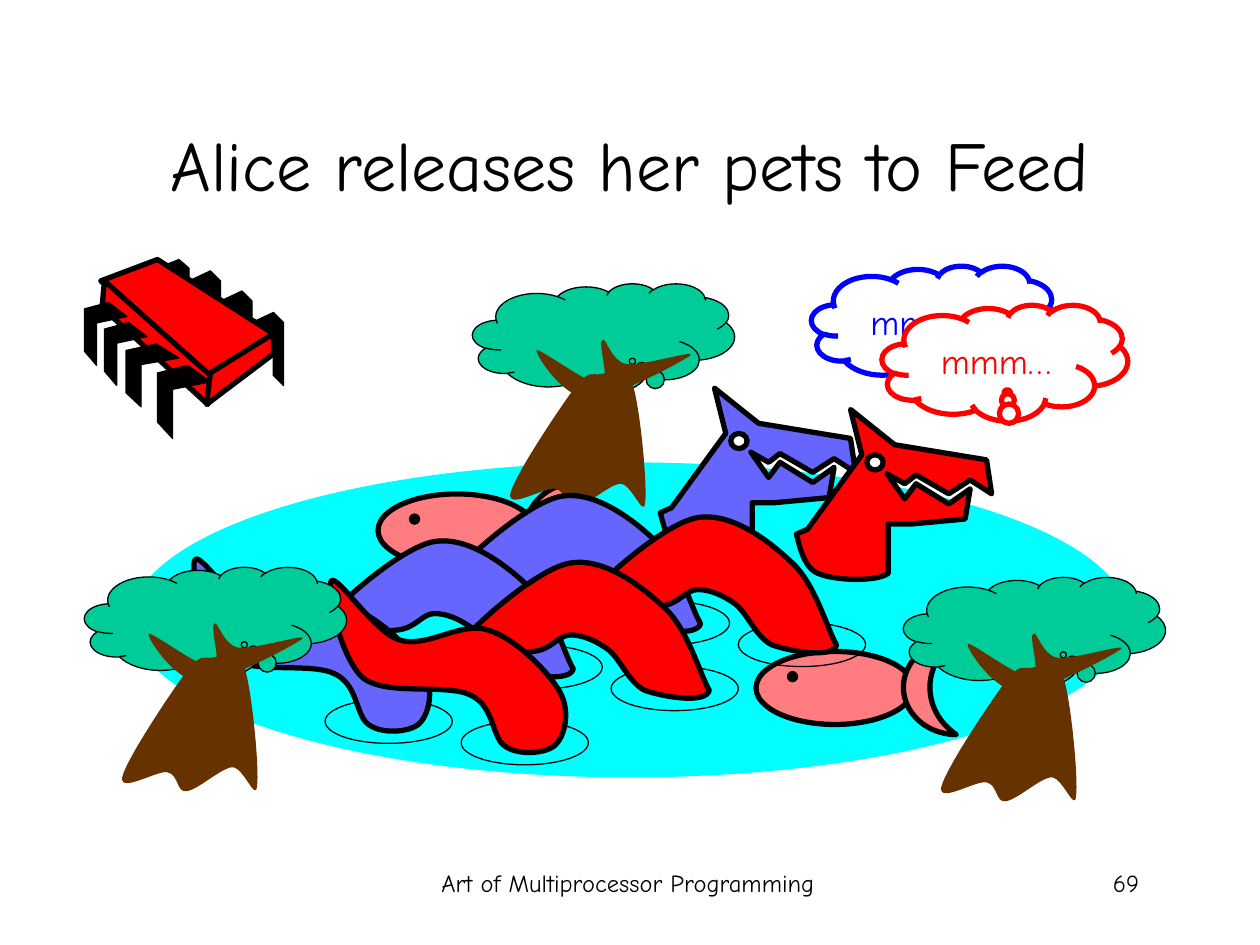
from lxml import etree
from pptx import Presentation, util as u
from pptx.dml.color import RGBColor
from pptx.enum import shapes, text
from pptx.oxml.ns import qn

BLACK = RGBColor(0, 0, 0)
WHITE = RGBColor(255, 255, 255)
RED = RGBColor(255, 0, 0)
BLUE = RGBColor(0, 0, 255)
VIOLET = RGBColor(0x66, 0x66, 0xFF)
CYAN = RGBColor(0, 255, 255)
PINK = RGBColor(0xFF, 0x7C, 0x80)
LEAF = RGBColor(0, 0xCC, 0x99)
BARK = RGBColor(0x66, 0x33, 0)

OVAL = shapes.MSO_SHAPE.OVAL
MOON = shapes.MSO_SHAPE.MOON
CLOUD = shapes.MSO_SHAPE.CLOUD_CALLOUT

# Outlines: a start point, then steps of 2 numbers (line) or 6 numbers (curve).
BACK_LEG = [(0, .08), (.17, 0), (.25, .08), (.25, .58), (.17, .5), (.17, .17),
            (0, .25), (0, .08)]
FRONT_LEG = [(.24, 0), (.42, .13), (.12, .19), (.12, .58), (0, .45), (0, .06),
             (.24, 0)]
CHIP_FACES = [
    [(1.25, 2.06), (2.17, 2.65), (1.65, 2.99), (.8, 2.23), (1.25, 2.06)],
    [(.83, 2.23), (1.67, 2.98), (1.65, 3.21), (.81, 2.44), (.83, 2.23)],
    [(2.17, 2.65), (2.17, 2.81), (1.64, 3.21), (1.67, 2.96), (2.17, 2.65)],
]
TRUNK = [(.81, .83), (.93, .68, .94, .73, 1.02, .72), (1.09, .71, 1.21, .63, 1.27, .8),
         (1.33, .97, 1.39, 1.61, 1.37, 1.74), (1.36, 1.87, 1.26, 1.58, 1.17, 1.59),
         (1.08, 1.6, .9, 1.77, .81, 1.78), (.73, 1.79, .75, 1.65, .66, 1.63),
         (.58, 1.61, .28, 1.8, .3, 1.67), (.33, 1.53, .69, .99, .81, .83)]
BRANCHES = [(.51, .53), (.49, .55, .71, .9, .91, .91), (1.12, .92, 1.68, .61, 1.73, .57),
            (1.78, .52, 1.34, .66, 1.22, .64), (1.1, .62, 1.06, .42, 1.03, .45),
            (.99, .47, 1.1, .78, 1.02, .8), (.93, .81, .53, .51, .51, .53)]
HUMP = [(2.03, 1.06), (2, 1.17, 1.66, 1.11, 1.52, 1.06), (1.39, 1, 1.32, .8, 1.22, .73),
        (1.12, .66, 1.02, .62, .93, .62), (.83, .62, .79, .73, .64, .75),
        (.49, .76, 0, .83, .05, .71), (.09, .6, .65, .1, .92, .05),
        (1.19, 0, 1.49, .23, 1.67, .4), (1.86, .57, 1.95, .92, 2.03, 1.06)]
HEAD = [(.09, .95), (.52, .36), (.43, 0), (.78, .28), (1.51, .4), (1.55, .67),
        (1.38, .56), (1.21, .67), (.95, .52), (.86, .59), (.72, .51), (.86, .71),
        (.95, .59), (1.21, .75), (1.38, .63), (1.34, .87), (.91, .91), (.73, .91),
        (.73, 1.3), (.64, 1.37, .3, 1.36, .17, 1.3), (.05, 1.25, .02, 1.05, 0, .99),
        (.09, .95)]
TAIL = [(.05, .05), (.1, 0, .39, .46, .59, .52), (.8, .59, 1.08, .37, 1.29, .44),
        (1.5, .5, 1.76, .76, 1.85, .91), (1.95, 1.06, 1.91, 1.26, 1.84, 1.34),
        (1.78, 1.42, 1.55, 1.44, 1.44, 1.37), (1.32, 1.31, 1.35, 1.05, 1.16, .96),
        (.97, .86, .49, .97, .3, .82), (.12, .66, 0, .1, .05, .05)]


def grid(value):
    """Turn grid units of 2.54 cm into a length."""
    return u.Cm(2.54 * value)


class Scene:
    font = "Comic Neue"

    def __init__(self, slide):
        self.slide = slide
        self.layer = slide.shapes

    def open_group(self):
        self.layer = self.slide.shapes.add_group_shape().shapes

    def close_group(self):
        self.layer = self.slide.shapes

    def paint(self, shape, fill, line, width):
        shape.shadow.inherit = False
        for part, color in ((shape.fill, fill), (shape.line.fill, line)):
            if color is None:
                part.background()
            else:
                part.solid()
                part.fore_color.rgb = color
        if line is not None:
            shape.line.width = u.Pt(width)

    def wording(self, frame, words, size, color=BLACK, align=text.PP_ALIGN.CENTER):
        frame.word_wrap = True
        frame.margin_left = frame.margin_right = u.Cm(.25)
        frame.margin_top = frame.margin_bottom = u.Cm(.13)
        paragraph = frame.paragraphs[0]
        paragraph.alignment = align
        run = paragraph.add_run()
        run.text = words
        run.font.name = self.font
        run.font.size = u.Pt(size)
        run.font.color.rgb = color

    def title(self, words, box):
        title = self.slide.shapes.title
        title.left, title.top, title.width, title.height = map(grid, box)
        title.text_frame.vertical_anchor = text.MSO_ANCHOR.MIDDLE
        self.wording(title.text_frame, words, 40)

    def label(self, words, box, align):
        label = self.layer.add_textbox(*map(grid, box))
        self.wording(label.text_frame, words, 14, align=align)

    def preset(self, kind, box, fill=None, line=None, width=.75, adjust=()):
        shape = self.layer.add_shape(kind, *map(grid, box))
        for index, value in enumerate(adjust):
            shape.adjustments[index] = value
        self.paint(shape, fill, line, width)
        return shape

    def outline(self, steps, fill, line=None, width=3, at=(0, 0), scale=(1, 1)):
        points = [tuple(grid(at[axis] + scale[axis] * step[i + axis]) for axis in (0, 1))
                  for step in steps for i in range(0, len(step), 2)]
        builder = self.layer.build_freeform(*points[0])
        builder.add_line_segments(points[1:], close=True)
        shape = builder.convert_to_shape()
        self.bend(shape, steps)
        self.paint(shape, fill, line, width)

    def bend(self, shape, steps):
        """Join the three lines of each 6-number step into one Bézier curve."""
        lines = iter(shape._element.findall(".//" + qn("a:lnTo")))
        for step in steps[1:]:
            first = next(lines)
            if len(step) == 6:
                curve = etree.Element(qn("a:cubicBezTo"))
                first.addprevious(curve)
                for line in (first, next(lines), next(lines)):
                    curve.append(line[0])
                    line.getparent().remove(line)

    def thought(self, x, y, color):
        cloud = self.preset(CLOUD, (x, y, 1.95, .92), WHITE, color, 3, (.01, .26))
        cloud.text_frame.vertical_anchor = text.MSO_ANCHOR.MIDDLE
        self.wording(cloud.text_frame, "mmm…", 20, color)

    def fish(self, x, y):
        self.open_group()
        self.preset(OVAL, (x, y + .09, 1.25, .58), PINK, BLACK, 3)
        self.preset(MOON, (x + 1.17, y, .42, .75), PINK, BLACK, 3, (.5,))
        self.preset(OVAL, (x + .25, y + .25, .08, .08), BLACK, BLACK)
        self.close_group()

    def chip(self):
        self.open_group()
        for x, y, sy in ((2, 2.48, 1), (1.75, 2.31, 1), (1.5, 2.15, 1), (1.25, 2.06, .86)):
            self.outline(BACK_LEG, BLACK, BLACK, .75, (x, y), (1, sy))
        for face in CHIP_FACES:
            self.outline(face, RED, BLACK)
        for x, y, sx, sy in ((1.25, 2.9, 1, 1), (1, 2.73, 1, .86),
                             (.83, 2.56, .8, .86), (.67, 2.4, .8, .86)):
            self.outline(FRONT_LEG, BLACK, BLACK, .75, (x, y), (sx, sy))
        self.close_group()

    def tree(self, x, y):
        self.open_group()
        self.preset(CLOUD, (x, y, 2.08, .87), LEAF, BLACK, adjust=(.11, .21))
        for wood in (TRUNK, BRANCHES):
            self.outline(wood, BARK, at=(x, y))
        self.close_group()

    def dragon(self, x, y, color):
        for dx, dy in ((2.27, 2.04), (1.08, 2.47), (3.28, 1.69)):
            self.preset(OVAL, (x + dx, y + dy, 1.01, .35), line=BLACK)
        for part, dx, dy in ((HUMP, 2.03, .81), (HUMP, 1.02, 1.17), (HEAD, 3.74, 0)):
            self.outline(part, color, BLACK, at=(x + dx, y + dy))
        self.preset(OVAL, (x + 4.3, y + .36, .13, .12), WHITE, BLACK, 3)
        self.outline(TAIL, color, BLACK, at=(x, y + 1.31))


def main():
    deck = Presentation()
    deck.slide_width, deck.slide_height = u.Cm(25.4), u.Cm(19.05)
    scene = Scene(deck.slides.add_slide(deck.slide_layouts[5]))
    scene.title("Alice releases her pets to Feed", (.75, .67, 8.5, 1.25))
    scene.label("Art of Multiprocessor Programming", (3.4, 6.84, 3.17, .5),
                text.PP_ALIGN.CENTER)
    scene.label("69", (7.06, 6.84, 2.08, .5), text.PP_ALIGN.RIGHT)
    scene.thought(6.44, 2.11, BLUE)
    scene.preset(OVAL, (1.04, 3.67, 7.92, 2.5), CYAN)
    scene.fish(3, 3.83)
    scene.fish(6, 5.08)
    scene.chip()
    scene.tree(3.75, 2.25)
    scene.tree(7.17, 4.58)
    scene.open_group()
    scene.dragon(1.5, 3.08, VIOLET)
    scene.dragon(2.58, 3.25, RED)
    scene.close_group()
    scene.tree(.67, 4.5)
    scene.thought(7, 2.42, RED)
    deck.save("out.pptx")


if __name__ == "__main__":
    main()
